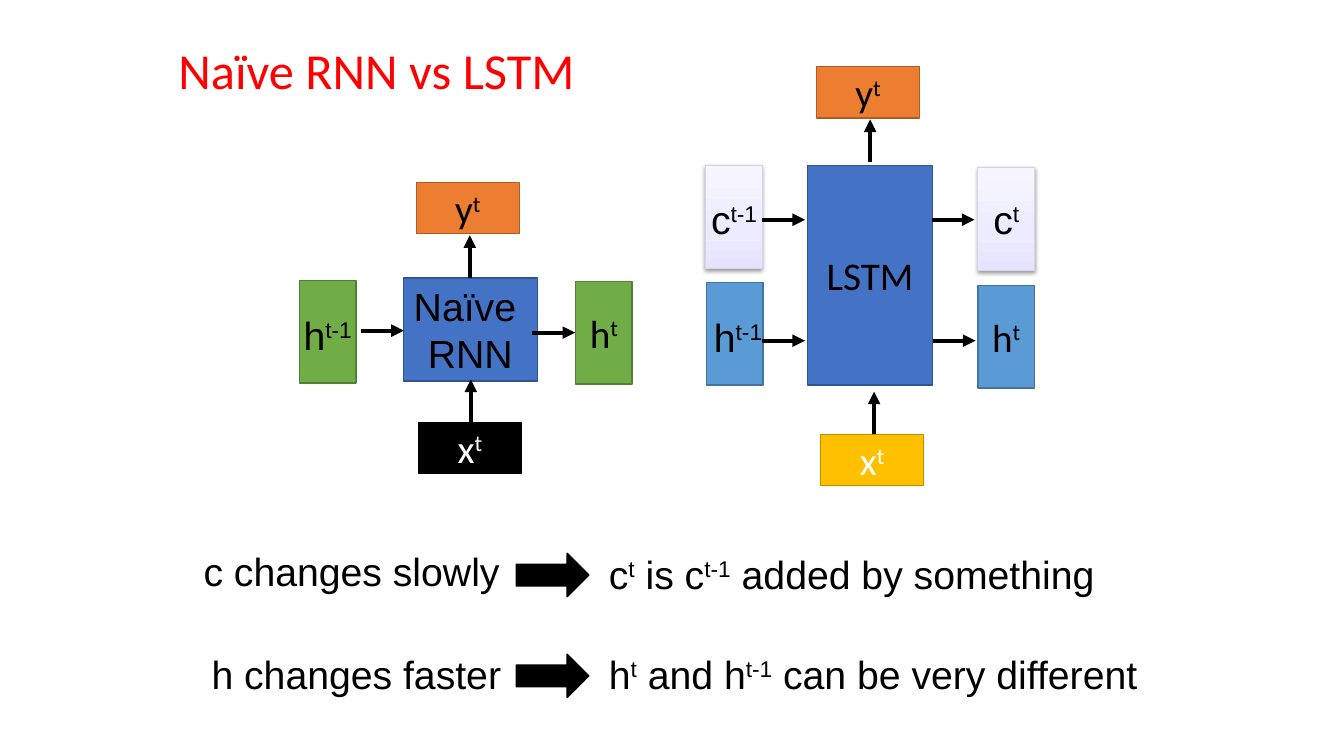
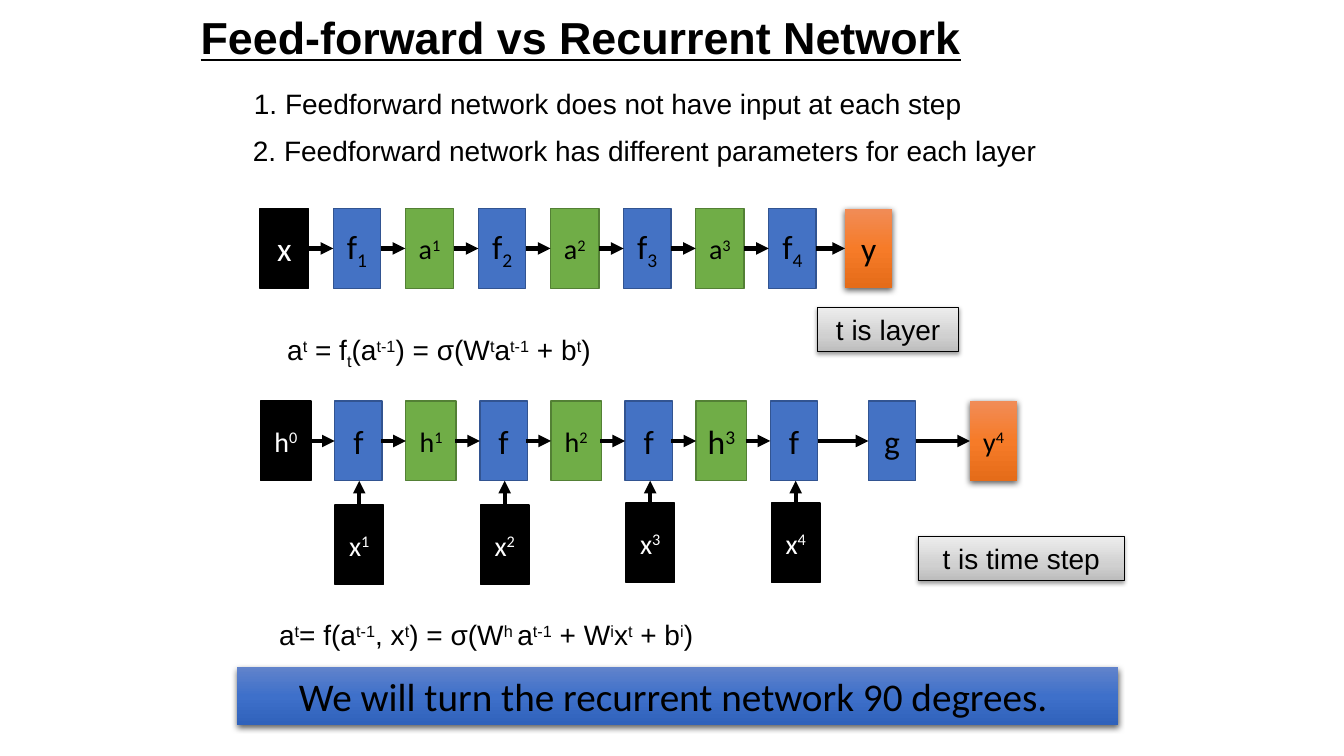
from dataclasses import dataclass
from itertools import pairwise
from typing import Optional

from lxml import etree
from pptx import Presentation
from pptx.dml.color import RGBColor
from pptx.enum.shapes import MSO_CONNECTOR, MSO_SHAPE
from pptx.enum.text import MSO_ANCHOR, PP_ALIGN
from pptx.oxml.ns import qn
from pptx.util import Emu, Inches, Pt

RECT, BLOCK_ARROW = MSO_SHAPE.RECTANGLE, MSO_SHAPE.RIGHT_ARROW
STRAIGHT = MSO_CONNECTOR.STRAIGHT
LEFT, CENTER = PP_ALIGN.LEFT, PP_ALIGN.CENTER
TOP, MIDDLE = MSO_ANCHOR.TOP, MSO_ANCHOR.MIDDLE

COLS, ROWS = 133.3, 75  # grid of square cells
CELL = Inches(0.1)
TITLE_ONLY = 5


@dataclass(frozen=True)
class Theme:
    """Colours, fonts and type sizes of the deck."""
    black: str = "000000"
    white: str = "FFFFFF"
    red: str = "FF0000"
    sans: str = "Arial"
    body: str = "Calibri"
    title: int = 36
    heading: int = 32
    large: int = 28
    medium: int = 24
    small: int = 20
    arrow: int = 3


T = Theme()


@dataclass(frozen=True)
class Shadow:
    """Downward shadow: opacity in percent, lengths in points."""
    alpha: int
    blur: float
    dist: float


SOFT, STRONG = Shadow(38, 3.1, 1.6), Shadow(63, 4.5, 1.5)


@dataclass(frozen=True)
class Style:
    """Fill (one colour, or gradient stops), outline, text colour, shadow."""
    fill: str | tuple[tuple[int, str], ...]
    line: Optional[str] = None
    width: float = 1
    ink: str = T.black
    shadow: Optional[Shadow] = None


BLUE = Style("4472C4", "325491")
GREEN = Style("70AD47", "538035")
ORANGE = Style("ED7D31", "AF5C24")
BLACK = Style(T.black, T.black, ink=T.white)
GOLD = Style("FFC000", "BD8E00", ink=T.white)
SKY = Style("5B9BD5", "43739E")
LILAC = Style(((0, "F7F6FF"), (65, "ECEBFF"), (100, "E5E3FF")),
              "D4D3E7", 0.75, shadow=SOFT)
GREY = Style(((0, "EDEDED"), (65, "D0D0D0"), (100, "BCBCBC")),
             T.black, 0.75, shadow=SOFT)
GLOW = Style(((0, "F18C57"), (50, "F67B28"), (100, "E56C19")), shadow=STRONG)
BANNER = Style(((0, "6183CB"), (50, "3E70CA"), (100, "3062BB")), shadow=STRONG)


@dataclass(frozen=True)
class Box:
    """A filled shape placed by columns and rows."""
    text: str
    x: float
    y: float
    w: float
    h: float
    style: Style
    size: int = T.large
    font: str = T.body
    anchor: MSO_ANCHOR = MIDDLE
    shape: MSO_SHAPE = RECT


@dataclass(frozen=True)
class Label:
    """Plain text placed by columns and rows."""
    text: str
    x: float
    y: float
    w: float
    h: float
    size: int = T.large
    align: PP_ALIGN = LEFT
    wrap: bool = True


@dataclass(frozen=True)
class Node:
    """One box of a chain; slot counts pitches from the first box."""
    text: str
    slot: float
    w: float
    style: Style
    size: int = T.medium


def cells(*lengths: float) -> list[Emu]:
    """Turn columns or rows into lengths."""
    return [Emu(round(n * CELL)) for n in lengths]


def rgb(color: str) -> RGBColor:
    """Turn RRGGBB into a colour."""
    return RGBColor.from_string(color)


def write(tf, text: str, font: str, size: int, color: str, align: PP_ALIGN) -> None:
    """Write lines whose |^raised| and |_lowered| pieces are marked off by bars."""
    for i, line in enumerate(text.split("\n")):
        p = tf.add_paragraph() if i else tf.paragraphs[0]
        p.alignment = align
        for piece in filter(None, line.split("|")):
            r = p.add_run()
            r.text = piece.lstrip("^_")
            r.font.name, r.font.size = font, Pt(size)
            r.font.color.rgb = rgb(color)
            shift = {"^": "30000", "_": "-25000"}.get(piece[0])
            if shift:
                r.font._element.set("baseline", shift)


def add_color(parent, color: str):
    """Append an RGB colour element."""
    return etree.SubElement(parent, qn("a:srgbClr"), val=color)


def paint(sp, style: Style) -> None:
    """Apply fill, outline and shadow to a shape."""
    if isinstance(style.fill, str):
        sp.fill.solid()
        sp.fill.fore_color.rgb = rgb(style.fill)
    else:
        sp.fill.gradient()
        sp.fill.gradient_angle = 270
        stops = next(sp.element.spPr.iter(qn("a:gsLst")))
        for stop in list(stops):
            stops.remove(stop)
        for pos, color in style.fill:
            add_color(etree.SubElement(stops, qn("a:gs"), pos=str(pos * 1000)), color)
    if style.line:
        sp.line.color.rgb = rgb(style.line)
        sp.line.width = Pt(style.width)
    else:
        sp.line.fill.background()
    sp.shadow.inherit = False
    if style.shadow:
        effects = sp.element.spPr.find(qn("a:effectLst"))
        outer = etree.SubElement(effects, qn("a:outerShdw"), dir="5400000",
                                 blurRad=str(Pt(style.shadow.blur)),
                                 dist=str(Pt(style.shadow.dist)), rotWithShape="0")
        etree.SubElement(add_color(outer, T.black), qn("a:alpha"),
                         val=str(style.shadow.alpha * 1000))


def add_box(s, box: Box) -> None:
    """Draw a filled shape with its text."""
    sp = s.shapes.add_shape(box.shape, *cells(box.x, box.y, box.w, box.h))
    paint(sp, box.style)
    if box.text:
        sp.text_frame.vertical_anchor = box.anchor
        write(sp.text_frame, box.text, box.font, box.size, box.style.ink, CENTER)


def add_label(s, label: Label) -> None:
    """Draw a text box."""
    tf = s.shapes.add_textbox(*cells(label.x, label.y, label.w, label.h)).text_frame
    tf.word_wrap = label.wrap
    write(tf, label.text, T.sans, label.size, T.black, label.align)


def add_arrow(s, x1: float, y1: float, x2: float, y2: float) -> None:
    """Draw a straight arrow."""
    c = s.shapes.add_connector(STRAIGHT, *cells(x1, y1, x2, y2))
    c.line.color.rgb = rgb(T.black)
    c.line.width = Pt(T.arrow)
    spPr = c.element.spPr
    etree.SubElement(spPr.find(qn("a:ln")), qn("a:tailEnd"), type="triangle")
    etree.SubElement(spPr, qn("a:effectLst"))


def add_title(s, text: str, at: tuple[float, ...], font: str, size: int,
              color: str, strong: bool = False) -> None:
    """Place and format the title placeholder."""
    sp = s.shapes.title
    sp.left, sp.top, sp.width, sp.height = cells(*at)
    tf = sp.text_frame
    tf.vertical_anchor = MIDDLE
    write(tf, text, font, size, color, LEFT)
    p = tf.paragraphs[0]
    p.line_spacing = 0.9
    if strong:
        p.runs[0].font.bold = p.runs[0].font.underline = True


def add_chain(s, nodes: list[Node], first: float, top: float) -> None:
    """Draw boxes centred on their slots and an arrow into each next box."""
    pitch, height, reach = 7.2, 7.9, 2.45
    spans = []
    for node in nodes:
        left = first + pitch * node.slot - node.w / 2
        spans.append((left, left + node.w))
        add_box(s, Box(node.text, left, top, node.w, height, node.style, node.size))
    for (_, right), (left, _) in pairwise(spans):
        add_arrow(s, min(right, left - reach), top + height / 2,
                  left, top + height / 2)


def build_comparison(prs) -> None:
    """Slide 1: a naïve RNN cell beside an LSTM cell."""
    s = prs.slides.add_slide(prs.slide_layouts[TITLE_ONLY])
    add_title(s, "Naïve RNN vs LSTM", (16.7, 0, 52.3, 14.5), T.body, T.title, T.red)
    side, flat = (5.6, 10.2), (10.2, 5.1)
    for box in (
        Box("", 29.7, 27.8, *side, GREEN),
        Box("Naïve \nRNN", 40, 27.6, 13.3, 10.2, BLUE, font=T.sans),
        Box("h|^t", 57.1, 27.9, *side, GREEN),
        Box("y|^t", 41.3, 18.1, *flat, ORANGE),
        Box("x|^t", 41.5, 41.9, *flat, BLACK),
        Box("LSTM", 80.1, 16.4, 12.4, 21.8, BLUE),
        Box("", 70, 16.4, *side, LILAC),
        Box("", 70.1, 28, *side, SKY),
        Box("c|^t", 97, 16.6, *side, LILAC, font=T.sans),
        Box("h|^t", 97, 28.3, *side, SKY),
        Box("y|^t", 81, 6.6, *flat, ORANGE),
        Box("x|^t", 81.4, 43.1, *flat, GOLD),
    ):
        add_box(s, box)
    step = 4.25
    for x, y in ((35.8, 32.8), (52.8, 33), (75.6, 21.8), (75.6, 33.8),
                 (92.4, 21.8), (92.5, 33.8)):
        add_arrow(s, x, y, x + step, y)
    for x, y in ((46.6, 27.6), (46.7, 41.9), (86.3, 16.1), (86.7, 43.1)):
        add_arrow(s, x, y, x, y - step)
    for text, x, y in (("h|^t-1", 28.9, 30.4), ("h|^t-1", 69.6, 30.6),
                       ("c|^t-1", 69.2, 18.9)):
        add_label(s, Label(text, x, y, 7.2, 5.7, align=CENTER, wrap=False))
    for y in (54.9, 64.9):
        add_box(s, Box("", 51.2, y, 7.2, 4.3, BLACK, shape=BLOCK_ARROW))
    for text, x, y, w in (
        ("c changes slowly", 19.2, 53.8, 32.5),
        ("h changes faster", 20, 64, 32),
        ("c|^t| is c|^t-1| added by something", 59.4, 54.1, 52.2),
        ("h|^t| and h|^t-1| can be very different", 59.4, 64, 57.2),
    ):
        add_label(s, Label(text, x, y, w, 5.7))


def build_networks(prs) -> None:
    """Slide 2: a feed-forward chain above a recurrent chain."""
    s = prs.slides.add_slide(prs.slide_layouts[TITLE_ONLY])
    add_title(s, "Feed-forward vs Recurrent Network", (18.9, 0.8, 80, 6.4),
              T.sans, T.heading, T.black, strong=True)

    layers = [Node("x", 0, 4.8, BLACK)]
    steps = [Node("h|^0", 0, 5, BLACK, T.small)]
    for n in range(1, 5):
        slot = 2 * n - 1
        layers.append(Node(f"f|_{n}", slot, 4.7, BLUE))
        steps.append(Node("f", slot, 4.7, BLUE))
        if n < 4:
            layers.append(Node(f"a|^{n}", slot + 1, 4.8, GREEN, T.small))
            steps.append(Node(f"h|^{n}", slot + 1, 5, GREEN,
                              T.medium if n == 3 else T.small))
    layers.append(Node("y", 8.05, 4.7, GLOW))
    steps += [Node("g", 8.35, 4.7, BLUE), Node("y|^4", 9.75, 4.7, GLOW, T.small)]
    add_chain(s, layers, 28.2, 20.7)
    add_chain(s, steps, 28.35, 39.8)

    for n, top in enumerate((50.1, 50.1, 49.9, 49.9), start=1):
        x = 21.2 + 14.43 * n
        add_box(s, Box(f"x|^{n}", x - 2.4, top, 4.8, 7.9, BLACK, T.small))
        add_arrow(s, x, 50.2, x, 47.7)

    for box in (
        Box("t is layer", 81.1, 30.5, 14, 4.4, GREY, T.small, T.sans, TOP),
        Box("t is time step", 91.1, 53.2, 20.4, 4.4, GREY, T.small, T.sans, TOP),
        Box("We will turn the recurrent network 90 degrees. ",
            23.5, 66.2, 87.4, 5.7, BANNER, anchor=TOP),
    ):
        add_box(s, box)
    for text, x, y, w in (
        ("1. Feedforward network does not have input at each step", 24.2, 8.1, 88.3),
        ("2. Feedforward network has different parameters for each layer",
         24.1, 12.8, 89.5),
        ("a|^t| = f|_t|(a|^t-1|) = σ(W|^t|a|^t-1| + b|^t|)", 27.5, 32.5, 45),
        ("a|^t|= f(a|^t-1|, x|^t|) = σ(W|^h |a|^t-1| + W|^i|x|^t| + b|^i|) ",
         26.7, 60.8, 55),
    ):
        add_label(s, Label(text, x, y, w, 4.4, T.small))


prs = Presentation()
prs.slide_width, prs.slide_height = cells(COLS, ROWS)
build_comparison(prs)
build_networks(prs)
prs.save("out.pptx")
